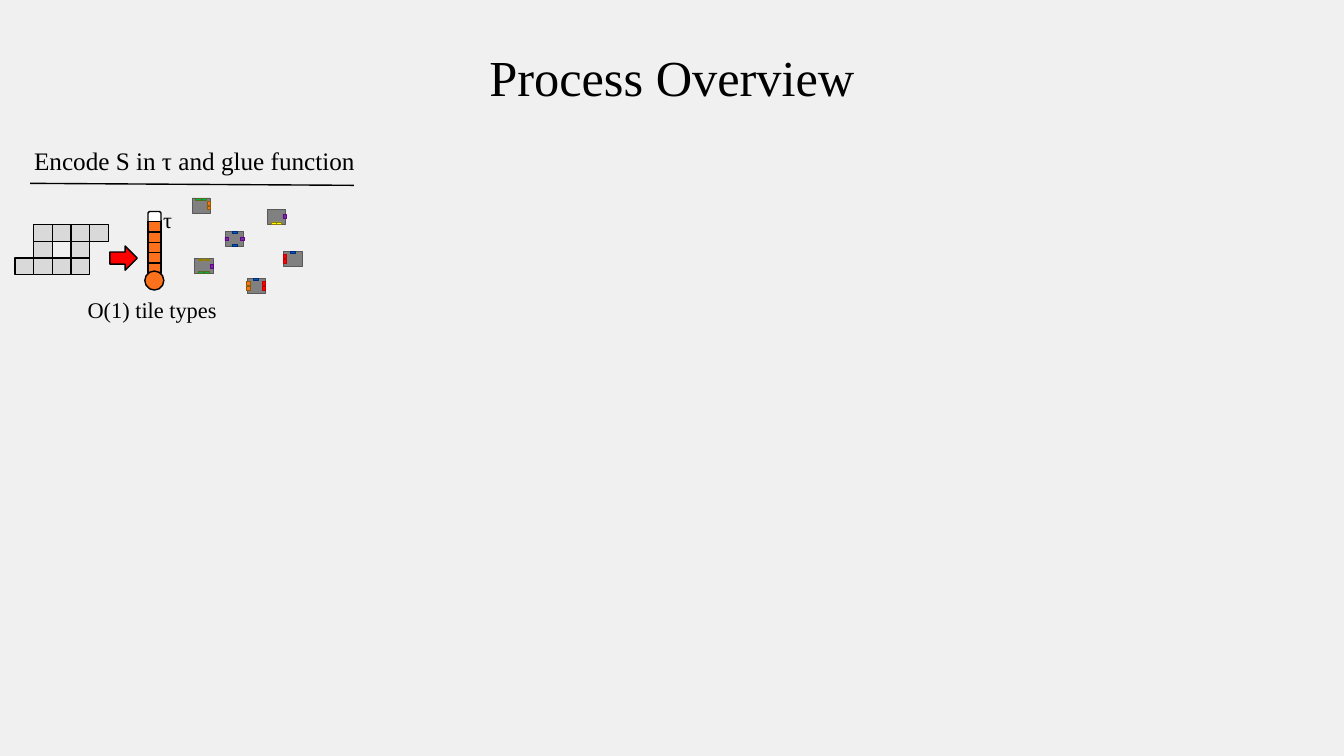
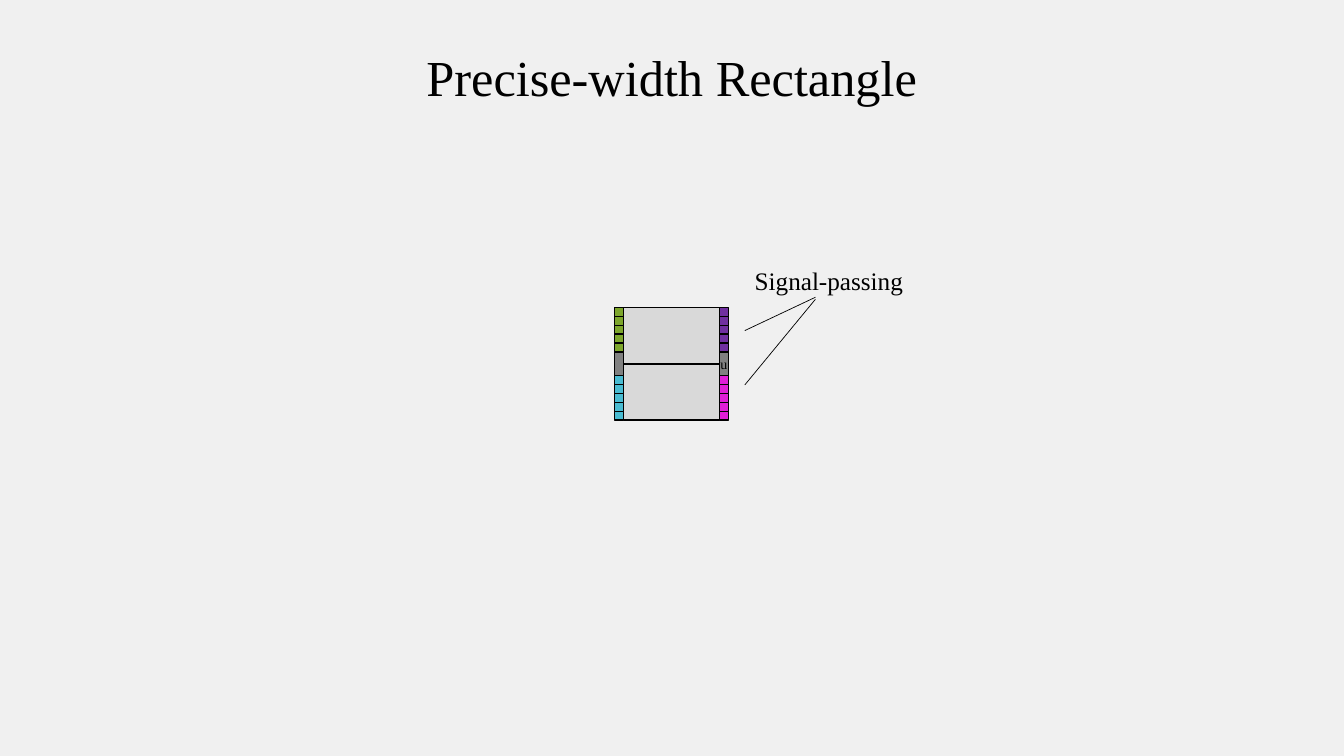
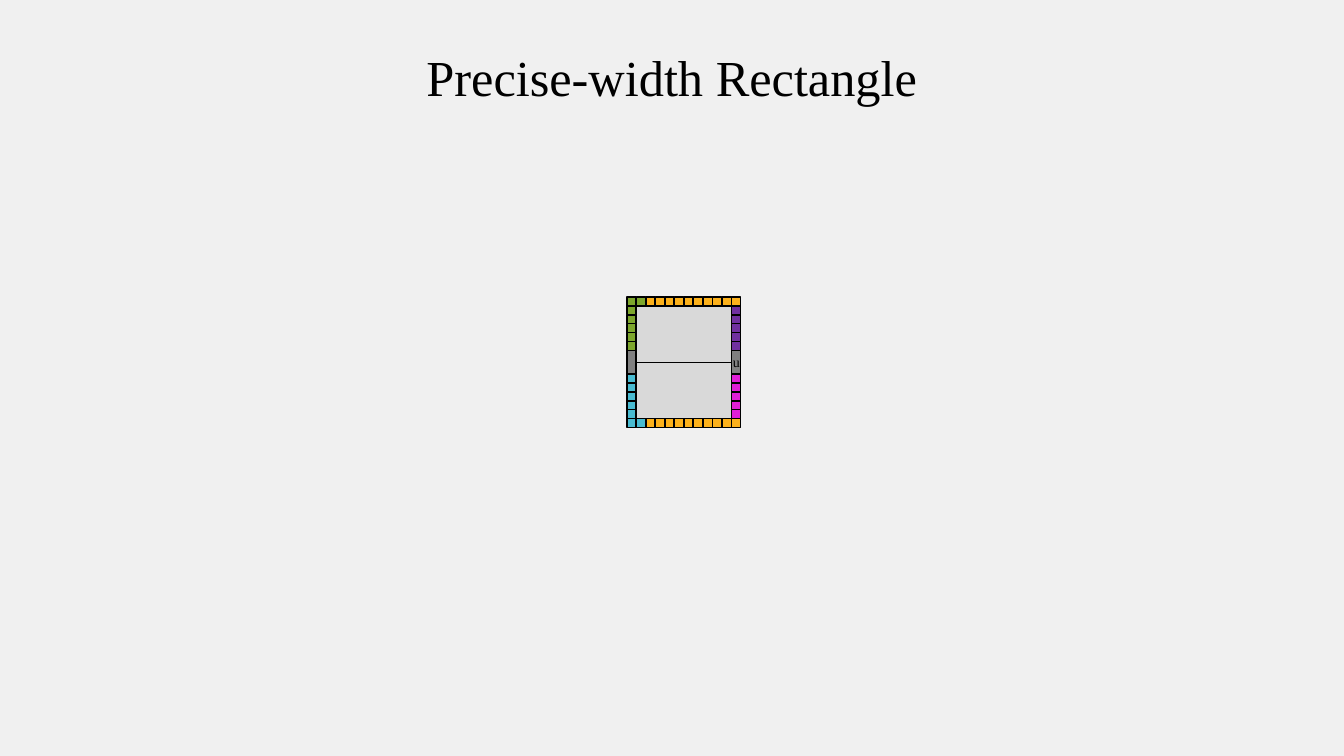
from lxml.etree import SubElement
from pptx import Presentation
from pptx.dml.color import RGBColor
from pptx.enum.shapes import MSO_CONNECTOR, MSO_SHAPE
from pptx.enum.text import MSO_ANCHOR, MSO_AUTO_SIZE, PP_ALIGN
from pptx.oxml.ns import qn
from pptx.util import Cm, Pt

FONT = "Times New Roman"
SLIDE_W, SLIDE_H = 33.87, 19.05

COLORS = {
    "background": "F0F0F0", "black": "000000", "white": "FFFFFF",
    "cell": "D9D9D9", "seam": "808080", "mercury": "FC711C", "arrow": "FF0000",
    "tile": "808080", "tile_line": "595959",
    "purple": "7030A0", "purple_line": "64018B",
    "green": "00B050", "green_line": "536F1D",
    "yellow": "FFFF00", "yellow_line": "8F7F08",
    "orange": "FC711C", "orange_line": "8A5D02",
    "blue": "015AAB", "blue_line": "002A7E",
    "red": "FF0000", "red_line": "C00000",
    "olive": "7DA62C", "cyan": "49BBD1", "magenta": "E01ED7", "amber": "FCB11C",
}

# Tile set: centre of each tile, then side -> (glue colour, number of glues)
TILE_W, TILE_H = 0.46, 0.38
TILES = [
    (2.00, 1.78, {"right": ("purple", 1), "bottom": ("green", 2), "top": ("yellow", 2)}),
    (1.93, 0.25, {"top": ("green", 2), "right": ("orange", 2)}),
    (2.77, 1.09, {"top": ("blue", 1), "bottom": ("blue", 1),
                  "left": ("purple", 1), "right": ("purple", 1)}),
    (3.83, 0.53, {"right": ("purple", 1), "bottom": ("yellow", 2)}),
    (3.32, 2.28, {"left": ("orange", 2), "top": ("blue", 1), "right": ("red", 2)}),
    (4.24, 1.60, {"top": ("blue", 1), "left": ("red", 2)}),
]
SIDES = {"left": (-1, 0), "right": (1, 0), "top": (0, -1), "bottom": (0, 1)}

# Encoded shape S, one string a row
S_ROWS = [".####", ".#.#.", "####."]

# Frame of the precise-width rectangle
FRAME_W, FRAME_H = 2.87, 2.84
SIDE_W = 0.23
WING_H, WING_CELLS = 1.12, 5
EDGE_CELLS = 12


def rgb(name):
    return RGBColor.from_string(COLORS[name])


def write(tf, text, size=18, align=PP_ALIGN.LEFT, color="black"):
    p = tf.paragraphs[0]
    p.alignment = align
    r = p.add_run()
    r.text = text
    r.font.name = FONT
    r.font.size = Pt(size)
    r.font.color.rgb = rgb(color)


def add_text(s, text, x, y, w, h, wrap=True, **fmt):
    tf = s.shapes.add_textbox(Cm(x), Cm(y), Cm(w), Cm(h)).text_frame
    tf.word_wrap = wrap
    tf.auto_size = MSO_AUTO_SIZE.SHAPE_TO_FIT_TEXT
    write(tf, text, **fmt)


def add_box(shapes, x, y, w, h, fill, kind=MSO_SHAPE.RECTANGLE, line="black", weight=1):
    sp = shapes.add_shape(kind, Cm(x), Cm(y), Cm(w), Cm(h))
    sp.shadow.inherit = False
    sp.fill.solid()
    sp.fill.fore_color.rgb = rgb(fill)
    sp.line.color.rgb = rgb(line)
    sp.line.width = Pt(weight)
    return sp


def add_line(s, x1, y1, x2, y2, weight=1):
    cn = s.shapes.add_connector(MSO_CONNECTOR.STRAIGHT, Cm(x1), Cm(y1), Cm(x2), Cm(y2))
    cn.line.color.rgb = rgb("black")
    cn.line.width = Pt(weight)
    SubElement(cn._element.spPr, qn("a:effectLst"))


def add_slide(prs, title):
    s = prs.slides.add_slide(prs.slide_layouts[6])
    add_text(s, title, 0, 1.04, SLIDE_W, 1.8, size=36, align=PP_ALIGN.CENTER)
    return s


def add_tile(shapes, cx, cy, glues):
    """One tile centred on (cx, cy) with glues along its sides."""
    def centred(x, y, w, h, color):
        add_box(shapes, x - w / 2, y - h / 2, w, h, color,
                line=color + "_line", weight=0.5)

    centred(cx, cy, TILE_W, TILE_H, "tile")
    for side, (color, count) in glues.items():
        dx, dy = SIDES[side]
        w, h, gap = (0.08, 0.10, 0.12) if dx else (0.05 + 0.08, 0.05, 0.14)
        for i in range(count):
            shift = (i - (count - 1) / 2) * gap
            centred(cx + dx * 0.2 + abs(dy) * shift,
                    cy + dy * 0.16 + abs(dx) * shift, w, h, color)


def add_shape_s(s, x, y):
    """The shape S as a grid of cells."""
    shapes = s.shapes.add_group_shape().shapes
    w, h = 0.47, 0.42
    for row, marks in enumerate(S_ROWS):
        for col, mark in enumerate(marks):
            if mark == "#":
                add_box(shapes, x + col * w, y + row * h, w, h, "cell")


def add_thermometer(s, x, y):
    """Tube with cap, five segments and bulb."""
    shapes = s.shapes.add_group_shape().shapes
    w, seg_h = 0.33, 0.26
    add_box(shapes, x, y, w, w, "white", MSO_SHAPE.ROUNDED_RECTANGLE)
    for i in range(5):
        add_box(shapes, x, y + (i + 1) * seg_h, w, seg_h, "mercury")
    add_box(shapes, x - 0.08, y + 1.5, 0.48, 0.48, "mercury", MSO_SHAPE.OVAL)


def add_encoding(s, x, y):
    """Encoding step: heading, shape S, temperature and tile set."""
    tiles = s.shapes.add_group_shape().shapes
    for cx, cy, glues in TILES:
        add_tile(tiles, x + 2.76 + cx - 0.0, y + 1.4 + cy, glues)
    add_shape_s(s, x, y + 2.13)
    add_thermometer(s, x + 3.35, y + 1.8)
    add_text(s, "τ", x + 3.48, y + 1.55, 0.9, 0.94, size=16)
    add_box(s.shapes, x + 2.39, y + 2.67, 0.69, 0.61, "arrow", MSO_SHAPE.RIGHT_ARROW)
    add_text(s, "Encode S in τ and glue function", x + 0.23, y, 8.61, 1.8)
    add_line(s, x + 0.38, y + 1.09, x + 8.54, y + 1.14)
    add_text(s, "O(1) tile types", x + 1.58, y + 3.81, 4.01, 0.94, size=16)


def add_frame(s, x, y, edges=False):
    """Two panels between coloured side columns, with optional edge rows."""
    shapes = s.shapes.add_group_shape().shapes
    right = FRAME_W - SIDE_W
    cell_h = WING_H / WING_CELLS
    # Panels
    for i in range(2):
        add_box(shapes, x + SIDE_W, y + i * FRAME_H / 2,
                right - SIDE_W, FRAME_H / 2, "cell")
    # Side columns: upper wing, seam, lower wing
    for dx, upper, lower, label in ((0, "olive", "cyan", ""),
                                    (right, "purple", "magenta", "u")):
        seam = add_box(shapes, x + dx, y + WING_H, SIDE_W, FRAME_H - 2 * WING_H, "seam")
        if label:
            tf = seam.text_frame
            tf.margin_left = tf.margin_right = 0
            tf.word_wrap = False
            tf.vertical_anchor = MSO_ANCHOR.MIDDLE
            write(tf, label, size=10, align=PP_ALIGN.CENTER)
        for top, color in ((0, upper), (FRAME_H - WING_H, lower)):
            for i in range(WING_CELLS):
                add_box(shapes, x + dx, y + top + i * cell_h, SIDE_W, cell_h, color)
    # Edge rows, led by two cells in the colour of the left column
    if edges:
        step = right / (EDGE_CELLS - 1)
        for dy, lead in ((-cell_h, "olive"), (FRAME_H, "cyan")):
            for i in range(EDGE_CELLS):
                add_box(shapes, x + i * step, y + dy, SIDE_W, cell_h,
                        lead if i < 2 else "amber")


def add_callout(s, x, y):
    """Signal label with two leader lines."""
    add_text(s, "Signal-passing", x, y, 4.29, 1.02, wrap=False)
    for y_start, y_end in ((1.78, 0.94), (3.15, 0.99)):
        add_line(s, x, y + y_start, x + 1.78, y + y_end, weight=0.5)


def main():
    prs = Presentation()
    prs.slide_width, prs.slide_height = Cm(SLIDE_W), Cm(SLIDE_H)
    fill = prs.slide_master.background.fill
    fill.solid()
    fill.fore_color.rgb = rgb("background")

    s = add_slide(prs, "Process Overview")
    add_encoding(s, 0.38, 3.53)

    s = add_slide(prs, "Precise-width Rectangle")
    add_frame(s, 15.49, 7.75)
    add_callout(s, 18.77, 6.55)

    s = add_slide(prs, "Precise-width Rectangle")
    add_frame(s, 15.8, 7.71, edges=True)

    prs.save("out.pptx")


if __name__ == "__main__":
    main()
